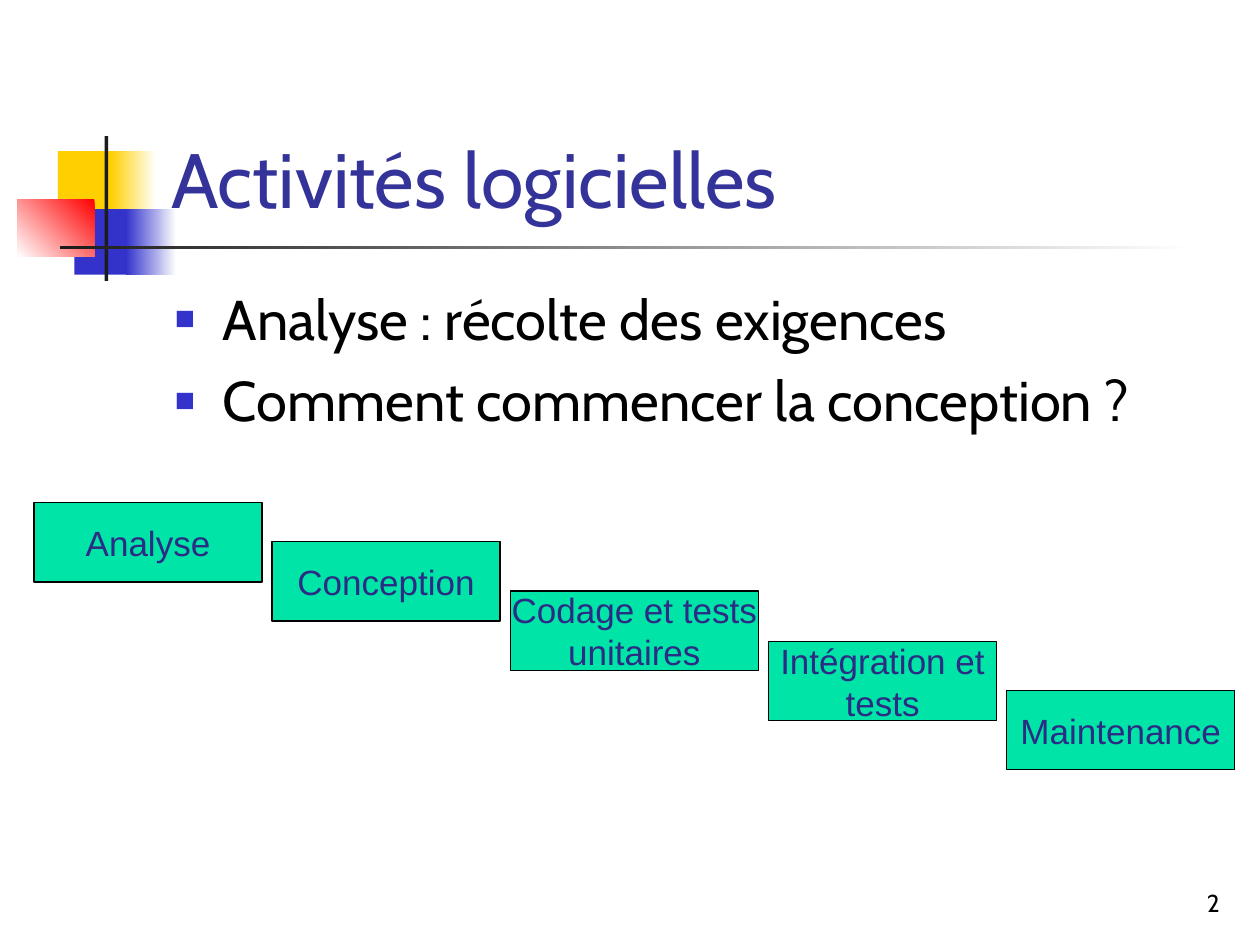
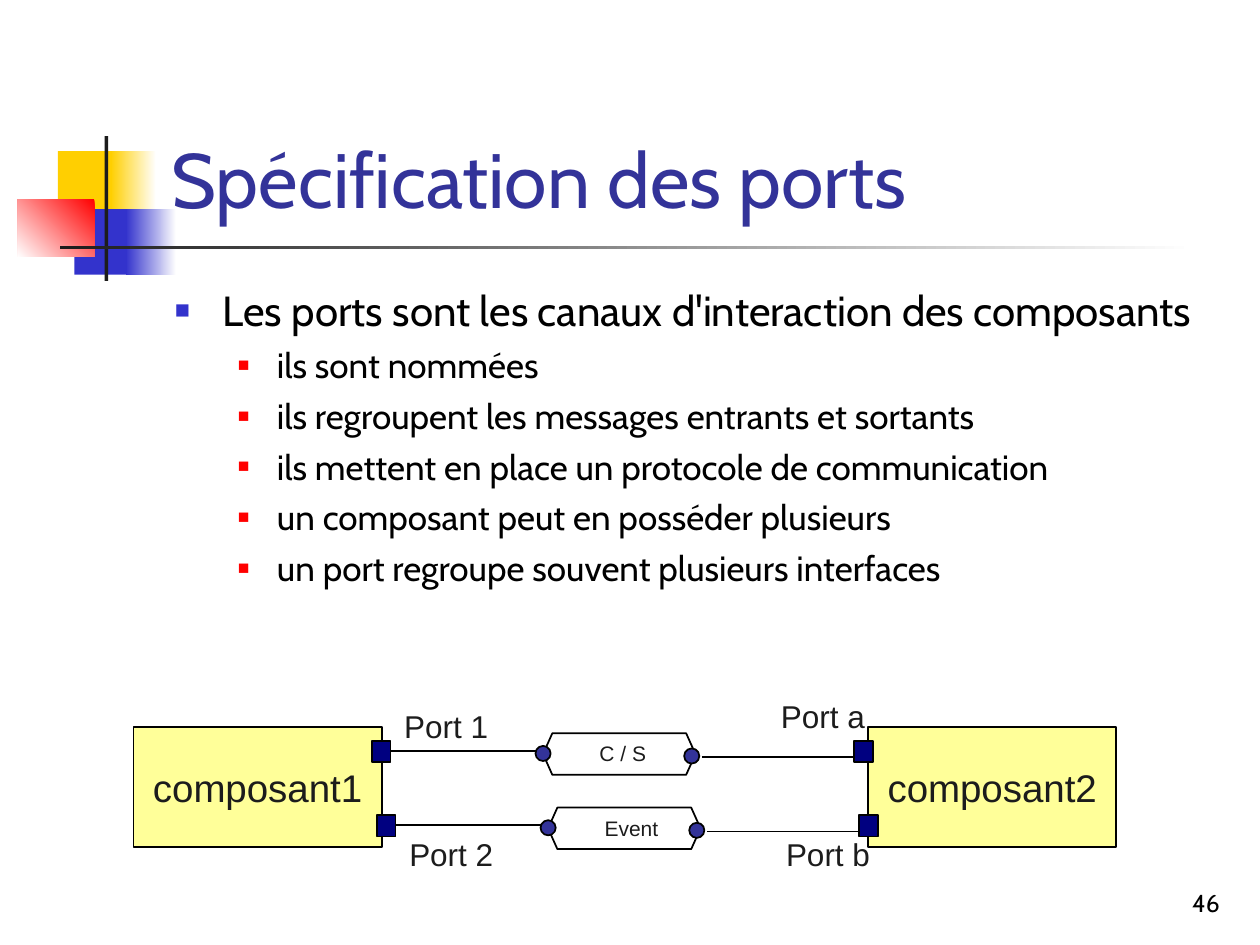
from lxml.etree import SubElement
from pptx import Presentation
from pptx.dml.color import RGBColor
from pptx.enum.shapes import MSO_CONNECTOR as Link, MSO_SHAPE as Form
from pptx.enum.text import MSO_ANCHOR as Anchor, MSO_AUTO_SIZE as Fit, PP_ALIGN as Align
from pptx.oxml.ns import qn
from pptx.util import Inches, Pt

BLACK = RGBColor(0x00, 0x00, 0x00)
WHITE = RGBColor(0xFF, 0xFF, 0xFF)
INK = RGBColor(0x1C, 0x1C, 0x1C)
YELLOW = RGBColor(0xFF, 0xCF, 0x01)
BLUE = RGBColor(0x33, 0x33, 0xCC)
RED = RGBColor(0xFF, 0x00, 0x00)
INDIGO = RGBColor(0x33, 0x33, 0x99)
NAVY = RGBColor(0x00, 0x00, 0x80)
GREEN = RGBColor(0x00, 0xE4, 0xA8)
PURPLE = RGBColor(0x2C, 0x2C, 0x84)
CREAM = RGBColor(0xFF, 0xFF, 0x99)


def write(frame, text, size=18, color=INK, font="Arial", align=Align.LEFT,
          anchor=Anchor.TOP, wrap=False, before=0, bullet=None):
    frame.word_wrap = wrap
    frame.auto_size = Fit.NONE
    frame.vertical_anchor = anchor
    first = frame.paragraphs[0]
    paragraph = frame.add_paragraph() if first.runs else first
    paragraph.alignment = align
    paragraph.space_before = Pt(before if first.runs else 0)
    if bullet:
        tint, percent, margin, hang = bullet
        props = paragraph._p.get_or_add_pPr()
        props.set("marL", str(Inches(margin)))
        props.set("indent", str(-Inches(hang)))
        SubElement(SubElement(props, qn("a:buClr")), qn("a:srgbClr"), val=str(tint))
        SubElement(props, qn("a:buSzPct"), val=str(percent * 1000))
        SubElement(props, qn("a:buFont"), typeface="Arial")
        SubElement(props, qn("a:buChar"), char="■")
    run = paragraph.add_run()
    run.text = text
    run.font.size = Pt(size)
    run.font.name = font
    run.font.color.rgb = color


def draw(slide, form, box, fill=None, fade=None, angle=180, line=None):
    shape = slide.shapes.add_shape(form, *map(Inches, box))
    shape.shadow.inherit = False
    if fade is not None:
        shape.fill.gradient()
        shape.fill.gradient_angle = angle
        for stop, color in zip(shape.fill.gradient_stops, (fill, fade)):
            stop.color.rgb = color
    elif fill is not None:
        shape.fill.solid()
        shape.fill.fore_color.rgb = fill
    else:
        shape.fill.background()
    if line:
        shape.line.color.rgb = BLACK
        shape.line.width = Pt(line)
    else:
        shape.line.fill.background()
    return shape


deck = Presentation()
deck.slide_width = Inches(10)
deck.slide_height = Inches(7.5)
layout = deck.slide_layouts[5]
for placeholder in list(layout.placeholders):
    if placeholder.placeholder_format.idx != 0:
        placeholder._element.getparent().remove(placeholder._element)

TOP = (Pt(0), BLUE, 60, 0.38, 0.38)
main_bullet = (BLUE, 60, 0.38, 0.38)
sub_bullet = (RED, 55, 0.81, 0.31)
pages = [
    ("Activités logicielles", "2", [
        ("Analyse : récolte des exigences", 32, 8, main_bullet),
        ("Comment commencer la conception ?", 32, 8, main_bullet),
    ]),
    ("Spécification des ports", "46", [
        ("Les ports sont les canaux d'interaction des composants", 24, 6, main_bullet),
        ("ils sont nommées", 20, 5, sub_bullet),
        ("ils regroupent les messages entrants et sortants", 20, 5, sub_bullet),
        ("ils mettent en place un protocole de communication", 20, 5, sub_bullet),
        ("un composant peut en posséder plusieurs", 20, 5, sub_bullet),
        ("un port regroupe souvent plusieurs interfaces", 20, 5, sub_bullet),
    ]),
]
for heading, number, points in pages:
    slide = deck.slides.add_slide(layout)
    title = slide.shapes.title
    title.left, title.top, title.width, title.height = map(Inches, (1.26, 0.23, 8.52, 1.6))
    write(title.text_frame, heading, size=44, color=INDIGO, font="Cabin",
          anchor=Anchor.BOTTOM, wrap=True)
    body = slide.shapes.add_textbox(*map(Inches, (1.29, 2.21, 8.5, 4.5))).text_frame
    for point, size, before, bullet in points:
        write(body, point, size=size, color=BLACK, font="Cabin", wrap=True,
              before=before, bullet=bullet)
    page = slide.shapes.add_textbox(*map(Inches, (7.7, 6.83, 2.08, 0.5))).text_frame
    write(page, number, size=14, color=BLACK, font="Cabin", align=Align.RIGHT,
          anchor=Anchor.BOTTOM, wrap=True)

activities, ports = deck.slides

ornaments = [
    draw(activities, Form.RECTANGLE, box, fill, fade, angle)
    for box, fill, fade, angle in [
        ((0.46, 1.2, 0.48, 0.52), YELLOW, None, 0),
        ((0.88, 1.2, 0.36, 0.52), WHITE, YELLOW, 180),
        ((0.59, 1.66, 0.46, 0.52), BLUE, None, 0),
        ((1, 1.66, 0.4, 0.52), WHITE, BLUE, 180),
        ((0.14, 1.58, 0.61, 0.46), RED, WHITE, 225),
        ((0.83, 1.08, 0.03, 1.15), INK, None, 0),
        ((0.48, 1.95, 9, 0.03), WHITE, INK, 180),
    ]
]
for ornament in ornaments:
    layout.shapes._spTree.append(ornament._element)

step_left = 0.27
for step_top, step_width, labels in [
    (3.99, 1.81, ["Analyse"]),
    (4.3, 1.81, ["Conception"]),
    (4.69, 1.97, ["Codage et tests", "unitaires"]),
    (5.09, 1.81, ["Intégration et", "tests"]),
    (5.48, 1.81, ["Maintenance"]),
]:
    step = draw(activities, Form.RECTANGLE, (step_left, step_top, step_width, 0.63),
                GREEN, line=0.75)
    for label in labels:
        write(step.text_frame, label, size=20, color=PURPLE, align=Align.CENTER,
              anchor=Anchor.MIDDLE)
    step_left += step_width + 0.08

for component_left, label in [(1.06, "composant1"), (6.89, "composant2")]:
    component = draw(ports, Form.RECTANGLE, (component_left, 5.77, 1.97, 0.95), CREAM, line=1)
    write(component.text_frame, label, size=22, align=Align.CENTER, anchor=Anchor.MIDDLE)

for port_left, port_top, label in [
    (3.11, 5.56, "Port 1"), (6.1, 5.48, "Port a"),
    (3.15, 6.58, "Port 2"), (6.14, 6.58, "Port b"),
]:
    port_name = ports.shapes.add_textbox(*map(Inches, (port_left, port_top, 0.86, 0.4)))
    write(port_name.text_frame, label)

for dx, dy, protocol, protocol_width in [(0, 0, "C / S", 0.57), (0.04, 0.59, "Event", 0.62)]:
    channel = draw(ports, Form.HEXAGON, (4.31 + dx, 5.82 + dy, 1.21, 0.33), line=1)
    channel.adjustments[0] = 0.224
    channel_name = ports.shapes.add_textbox(
        *map(Inches, (4.66 + dx, 5.83 + dy, protocol_width, 0.3)))
    write(channel_name.text_frame, protocol, size=12)
    for end_left, end_top in [(4.25, 5.92), (5.43, 5.94)]:
        draw(ports, Form.FLOWCHART_CONNECTOR, (end_left + dx, end_top + dy, 0.12, 0.12),
             INDIGO, line=1)
    for link_left, link_top in [(3.03, 5.96), (5.57, 6.01)]:
        x, y = link_left + dx, link_top + dy
        link = ports.shapes.add_connector(
            Link.STRAIGHT, *map(Inches, (x, y, x + 1.22, y)))
        link.line.color.rgb = BLACK
        link.line.width = Pt(1)
        SubElement(link._element.spPr, qn("a:effectLst"))
    for port_left in (2.95, 6.78):
        draw(ports, Form.RECTANGLE, (port_left + dx, 5.88 + dy, 0.15, 0.17), NAVY, line=1)

deck.save("out.pptx")
